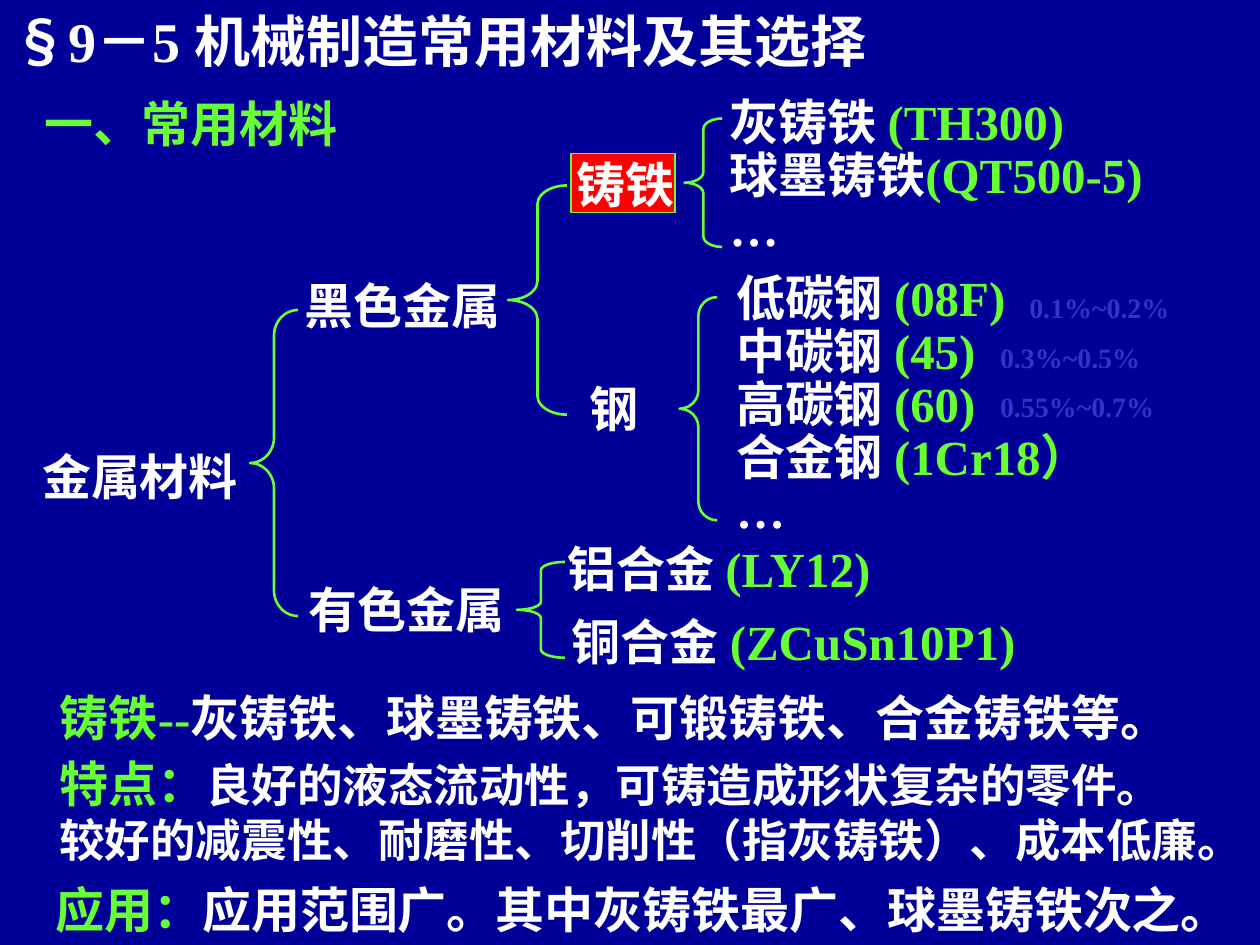
"""Build the slide on common materials for machine manufacturing."""
from lxml.etree import SubElement
from pptx import Presentation
from pptx.dml.color import RGBColor
from pptx.enum.shapes import MSO_SHAPE
from pptx.enum.text import MSO_ANCHOR, MSO_AUTO_SIZE, PP_ALIGN
from pptx.oxml.ns import qn
from pptx.util import Cm, Pt

NAVY = RGBColor(0x00, 0x00, 0x99)
WHITE = RGBColor(0xFF, 0xFF, 0xFF)
GREEN = RGBColor(0x66, 0xFF, 0x33)
RED = RGBColor(0xFF, 0x00, 0x00)
BLUE = RGBColor(0x33, 0x33, 0xCC)
TIMES, NOTO, KARLA = "Times New Roman", "Noto Sans CJK SC", "Karla"

LABEL = {"wrap": False, "top": 0, "bottom": 0, "spacing": 1, "size": 28, "font": TIMES}
HEADING = {**LABEL, "top": 0.13, "font": KARLA}
GRADES = {**LABEL, "top": 0.13, "spacing": 0.9}
STEELS = {**GRADES, "wrap": True}
ALLOY = {**LABEL, "top": 0.13, "bottom": 0.13}
CARBON = {**ALLOY, "wrap": True, "size": 16}
NOTE = {**ALLOY, "wrap": True, "font": NOTO}
TITLE = {**NOTE, "size": 32}

TITLE_BOX = (0, 0, 21.11, 1.63)
TITLE_LINES = [[("§", WHITE), ("9－5 ", WHITE, {"font": TIMES}), ("机械制造常用材料及其选择", WHITE)]]
FRAME = (11.51, 3.1, 2.1, 1.19)
BRACES = [
    ((5.04, 6.25, 0.97, 6.17), 0.53),
    ((10.24, 3.74, 1.19, 4.62), 0.32),
    ((13.8, 2.39, 0.76, 2.59), 0.28),
    ((13.7, 5.99, 0.76, 4.5), 0.49),
    ((10.42, 11.33, 0.97, 1.93), 0.17),
]
TEXTS = [
    ((5.89, 5.56, 4.5, 1.19), LABEL, [[("黑色金属", WHITE)]]),
    ((5.97, 11.68, 4.5, 1.19), LABEL, [[("有色金属", WHITE)]]),
    ((11.38, 3.12, 2.6, 1.19), LABEL, [[("铸铁", WHITE)]]),
    ((11.64, 7.64, 1.6, 1.19), LABEL, [[("钢", WHITE)]]),
    ((0.6, 9.01, 4.5, 1.19), LABEL, [[("金属材料", WHITE)]]),
    ((0.64, 1.75, 6.43, 1.32), HEADING, [[("一、常用材料", GREEN)]]),
    ((14.59, 5.4, 10.81, 5.46), STEELS, [
        [("低碳钢 ", WHITE), ("(08F)", GREEN)],
        [("中碳钢 ", WHITE), ("(45)", GREEN)],
        [("高碳钢 ", WHITE), ("(60)", GREEN)],
        [("合金钢 ", WHITE), ("(1Cr18）", GREEN)],
        [("…", WHITE)],
    ]),
    ((14.46, 1.85, 9.07, 3.33), GRADES, [
        [("灰铸铁 ", WHITE), ("(TH300)", GREEN)],
        [("球墨铸铁", WHITE), ("(QT500-5)", GREEN)],
        [("…", WHITE)],
    ]),
    ((11.19, 10.72, 6.93, 1.45), ALLOY, [[("铝合金 ", WHITE), ("(LY12)", GREEN)]]),
    ((11.28, 12.19, 9.68, 1.45), ALLOY, [[("铜合金 ", WHITE), ("(ZCuSn10P1)", GREEN)]]),
    ((0.96, 13.72, 24.05, 1.45), NOTE, [
        [("铸铁", GREEN), ("--", GREEN, {"font": TIMES}), ("灰铸铁、球墨铸铁、可锻铸铁、合金铸铁等。", WHITE)],
    ]),
    ((0.95, 15.06, 25.35, 2.54), NOTE, [
        [("特点：", GREEN), ("良好的液态流动性，可铸造成形状复杂的零件。", WHITE, {"size": 26})],
        [("较好的减震性、耐磨性、切削性（指灰铸铁）、成本低廉。", WHITE, {"size": 26})],
    ]),
    ((0.87, 17.6, 24.53, 1.45), NOTE, [
        [("应用：", GREEN), ("应用范围广。其中灰铸铁最广、球墨铸铁次之。", WHITE)],
    ]),
    ((20.5, 5.72, 4.9, 0.94), CARBON, [[("0.1%~0.2%", BLUE)]]),
    ((19.91, 6.73, 4.9, 0.94), CARBON, [[("0.3%~0.5%", BLUE)]]),
    ((19.91, 7.72, 4.9, 0.94), CARBON, [[("0.55%~0.7%", BLUE)]]),
]


def set_all(target, values):
    for name, value in values.items():
        setattr(target, name, value)


def place(sp, box):
    set_all(sp, dict(zip(("left", "top", "width", "height"), map(Cm, box))))


def add_run(p, style, text, color, changes=None):
    look = {**style, **(changes or {})}
    r = p.add_run()
    r.text = text
    set_all(r.font, {"name": look["font"], "size": Pt(look["size"]), "bold": True})
    r.font.color.rgb = color
    SubElement(r.font._element, qn("a:ea"), typeface=NOTO)


def fill_text(sp, style, lines):
    tf = sp.text_frame
    set_all(tf, {
        "word_wrap": style["wrap"], "auto_size": MSO_AUTO_SIZE.SHAPE_TO_FIT_TEXT,
        "vertical_anchor": MSO_ANCHOR.TOP,
        "margin_left": Cm(0.25), "margin_right": Cm(0.25),
        "margin_top": Cm(style["top"]), "margin_bottom": Cm(style["bottom"]),
    })
    for i, line in enumerate(lines):
        p = tf.add_paragraph() if i else tf.paragraphs[0]
        set_all(p, {"alignment": PP_ALIGN.LEFT, "line_spacing": style["spacing"]})
        for run in line:
            add_run(p, style, *run)


def add_outline(s, kind, box, width):
    sp = s.shapes.add_shape(kind, *map(Cm, box))
    sp.shadow.inherit = False
    sp.fill.background()
    sp.line.color.rgb = GREEN
    sp.line.width = Pt(width)
    return sp


def main():
    prs = Presentation()
    set_all(prs, {"slide_width": Cm(25.4), "slide_height": Cm(19.05)})
    s = prs.slides.add_slide(prs.slide_layouts[5])
    s.background.fill.solid()
    s.background.fill.fore_color.rgb = NAVY

    place(s.shapes.title, TITLE_BOX)
    fill_text(s.shapes.title, TITLE, TITLE_LINES)

    frame = add_outline(s, MSO_SHAPE.RECTANGLE, FRAME, 0.75)
    frame.fill.solid()
    frame.fill.fore_color.rgb = RED
    for box, curve in BRACES:
        brace = add_outline(s, MSO_SHAPE.LEFT_BRACE, box, 1.5)
        brace.adjustments[0] = curve
    for box, style, lines in TEXTS:
        fill_text(s.shapes.add_textbox(*map(Cm, box)), style, lines)

    prs.save("out.pptx")


if __name__ == "__main__":
    main()
